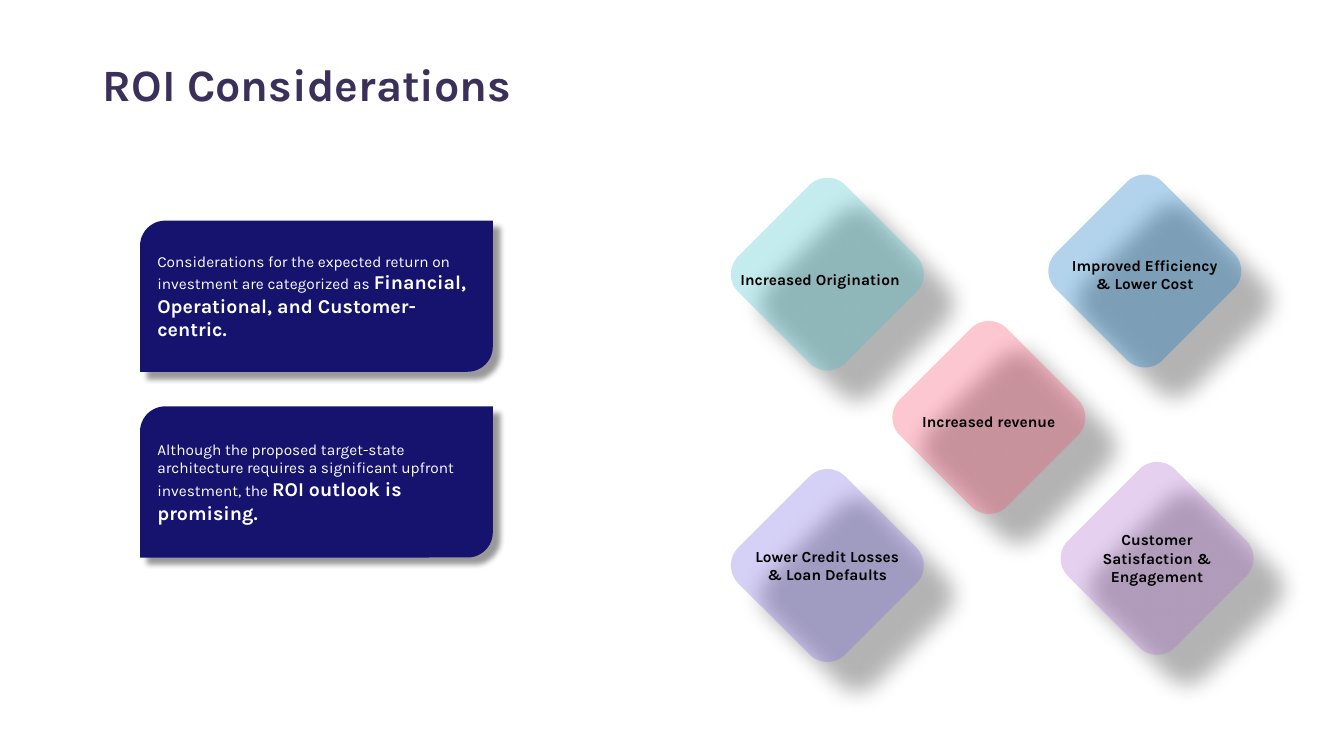
import pptx
import pptx.dml.color
import pptx.enum.shapes
import pptx.enum.text
import pptx.oxml
import pptx.oxml.ns
import pptx.util

Cm = pptx.util.Cm
Pt = pptx.util.Pt
MSO_SHAPE = pptx.enum.shapes.MSO_SHAPE
PP_ALIGN = pptx.enum.text.PP_ALIGN
NS = pptx.oxml.ns.nsdecls("a")


def rgb(value):
    return pptx.dml.color.RGBColor.from_string(value)


class Deck:
    """Holds the style and the current slide, and draws its elements."""

    font = "Karla"
    title_color = "3B3059"
    card_color = "15136E"
    card_text = "FFFFFF"
    label_color = "000000"
    small, large = 11, 14
    card_w, card_h = 8.89, 3.81
    diamond = 3.81
    label_w, label_h = 4.52, 2.03

    def __init__(self, prs):
        self.s = prs.slides.add_slide(prs.slide_layouts[5])

    def format_run(self, r, size, color, bold):
        r.font.name = self.font
        r.font.size = Pt(size)
        r.font.bold = bold
        r.font.color.rgb = rgb(color)

    def prepare(self, tf):
        tf.word_wrap = True
        tf.auto_size = pptx.enum.text.MSO_AUTO_SIZE.NONE
        tf.vertical_anchor = pptx.enum.text.MSO_ANCHOR.MIDDLE

    def title(self, text, x, y, w, h):
        sp = self.s.shapes.title
        sp.left, sp.top, sp.width, sp.height = Cm(x), Cm(y), Cm(w), Cm(h)
        tf = sp.text_frame
        tf.text = text
        self.prepare(tf)
        p = tf.paragraphs[0]
        p.alignment = PP_ALIGN.LEFT
        p.line_spacing = 0.9
        self.format_run(p.runs[0], 32, self.title_color, True)

    def shape(self, shapes, kind, box, color, shadow):
        sp = shapes.add_shape(kind, *(Cm(v) for v in box))
        sp.fill.solid()
        sp.fill.fore_color.rgb = rgb(color)
        sp.line.fill.background()
        sp.shadow.inherit = False
        alpha, blur, dist = shadow
        effects = sp._element.spPr.find(pptx.oxml.ns.qn("a:effectLst"))
        effects.append(pptx.oxml.parse_xml(
            f'<a:outerShdw {NS} blurRad="{Pt(blur)}" dist="{Pt(dist)}" '
            f'dir="2700000" algn="tl" rotWithShape="0"><a:srgbClr val="000000">'
            f'<a:alpha val="{alpha * 1000}"/></a:srgbClr></a:outerShdw>'))
        return sp

    def card(self, x, y, parts):
        sp = self.shape(self.s.shapes, MSO_SHAPE.ROUND_2_DIAG_RECTANGLE,
                        (x, y, self.card_w, self.card_h), self.card_color, (40, 4, 7))
        tf = sp.text_frame
        self.prepare(tf)
        p = tf.paragraphs[0]
        p.alignment = PP_ALIGN.LEFT
        p.space_after = Pt(6)
        for text, strong in parts:
            r = p.add_run()
            r.text = text
            self.format_run(r, self.large if strong else self.small, self.card_text, strong)

    def benefit(self, group, text, color, cx, cy, dx, dy):
        half = self.diamond / 2
        sp = self.shape(group.shapes, MSO_SHAPE.ROUNDED_RECTANGLE,
                        (cx - half, cy - half, self.diamond, self.diamond), color, (30, 16, 30))
        sp.rotation = 45
        fill = sp._element.spPr.find(".//" + pptx.oxml.ns.qn("a:srgbClr"))
        fill.append(pptx.oxml.parse_xml(f'<a:alpha {NS} val="30000"/>'))
        label = group.shapes.add_textbox(
            Cm(cx + dx - self.label_w / 2), Cm(cy + dy - self.label_h / 2),
            Cm(self.label_w), Cm(self.label_h))
        tf = label.text_frame
        tf.text = text
        self.prepare(tf)
        p = tf.paragraphs[0]
        p.alignment = PP_ALIGN.CENTER
        self.format_run(p.runs[0], self.small, self.label_color, True)


def main():
    prs = pptx.Presentation()
    prs.slide_width, prs.slide_height = Cm(33.87), Cm(19.05)
    deck = Deck(prs)
    deck.title("ROI Considerations", 2.34, 1.02, 29.21, 2.36)

    benefits = [
        ("Increased Origination", "3DBEC9", 20.85, 6.91, -0.18, 0.14),
        ("Increased revenue", "FB466B", 24.92, 10.52, 0, 0.1),
        ("Improved Efficiency & Lower Cost", "0070C0", 28.85, 6.83, 0, 0.09),
        ("Lower Credit Losses & Loan Defaults", "7764E4", 20.85, 14.25, 0, 0),
        ("Customer Satisfaction & Engagement", "AB66CE", 29.16, 14.07, 0, 0),
    ]
    group = deck.s.shapes.add_group_shape()
    for benefit in benefits:
        deck.benefit(group, *benefit)

    cards = [
        [("Considerations for the expected return on investment are categorized as ", False),
         ("Financial,", True), (" ", False),
         ("Operational, and Customer-centric.", True)],
        [("Although the proposed target-state architecture requires a significant "
          "upfront investment, the ", False),
         ("ROI outlook is promising.", True)],
    ]
    for i, parts in enumerate(cards):
        deck.card(3.53, 5.56 + 4.68 * i, parts)

    prs.save("out.pptx")


if __name__ == "__main__":
    main()
